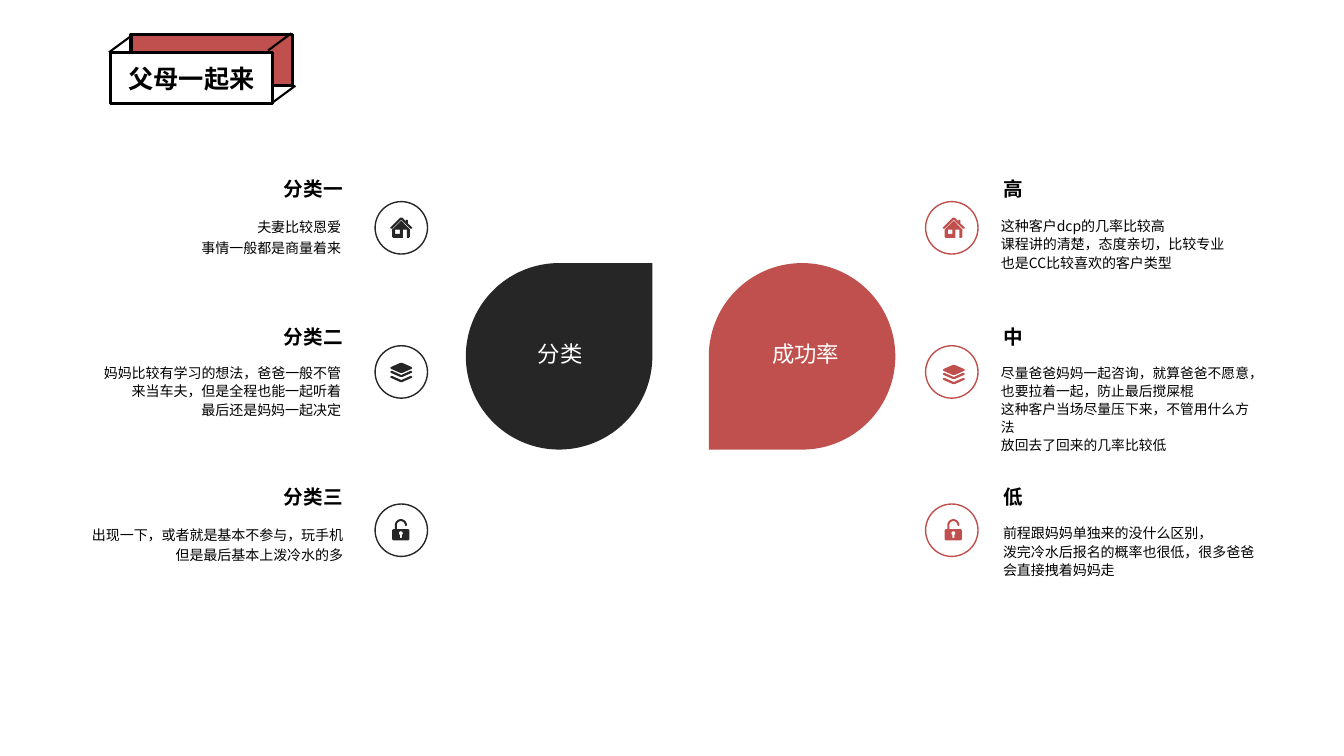
from math import cos, radians, sin

from lxml.etree import SubElement
from pptx import Presentation
from pptx.dml.color import RGBColor
from pptx.enum.shapes import MSO_CONNECTOR, MSO_SHAPE
from pptx.enum.text import MSO_ANCHOR, PP_ALIGN
from pptx.oxml.ns import qn
from pptx.util import Inches, Pt

COLORS = {"dark": "262626", "red": "C0504D", "black": "000000", "white": "FFFFFF"}
FONT = "Noto Sans CJK SC"


def rgb(color):
    return RGBColor.from_string(COLORS[color])


def arc(x, y, radius, start, end, steps=16):
    angles = [radians(start + (end - start) * i / steps) for i in range(steps + 1)]
    return [(x + radius * cos(a), y + radius * sin(a)) for a in angles]


def layer_band(y):
    return [(0, y), (1, y - 1), (2, y - 1), (11, y + 3), (20, y - 1), (21, y - 1),
            (22, y), (21, y + 1), (12, y + 5), (10, y + 5), (1, y + 1)]


HOUSE = [
    [(0, 10), (10, 0), (12, 0), (15.5, 3.5), (15.5, 2.5), (16.5, 2), (17.5, 2.5),
     (17.5, 5.7), (22, 10), (21.3, 11), (20, 11), (11, 2), (2, 11), (0.7, 11)],
    [(11, 3), (19.5, 11.8), (19.5, 19), (18.5, 20), (16.5, 20), (16.5, 12), (12.5, 12),
     (12.5, 20), (3, 20), (2, 19), (2, 11.8)],
    [(9.5, 12), (5, 12), (5, 16), (9.5, 16)],
]
LAYERS = [
    [(0, 5), (1, 4), (10, 0), (12, 0), (21, 4), (22, 5), (21, 6), (12, 10), (10, 10), (1, 6)],
    layer_band(9),
    layer_band(14),
]
LOCK = [
    [(0, 11), (1, 10), (2.6, 10), *arc(8.6, 6, 6, 180, 360), (13.6, 7),
     *arc(8.6, 6, 4, 360, 180), (4.6, 10), (16, 10), (17, 11), (17, 20), (16, 21),
     (1, 21), (0, 20)],
    [*arc(8.6, 14, 2, 120, 420), (9.6, 18.5), (8.6, 19), (7.6, 18.5)],
]


def write(frame, *lines, size=10, color="black", bold=False, align=PP_ALIGN.LEFT,
          spacing=None, anchor=MSO_ANCHOR.TOP, wrap=True):
    frame.word_wrap = wrap
    frame.vertical_anchor = anchor
    for number, line in enumerate(lines):
        paragraph = frame.add_paragraph() if number else frame.paragraphs[0]
        paragraph.alignment = align
        if spacing:
            paragraph.line_spacing = spacing
        run = paragraph.add_run()
        run.text = line
        run.font.size = Pt(size)
        run.font.bold = bold
        run.font.name = FONT
        run.font.color.rgb = rgb(color)
        SubElement(run.font._element, qn("a:ea")).set("typeface", FONT)


class Board:
    def __init__(self, slide):
        self.shapes = slide.shapes

    def paint(self, shape, fill=None, line=None, width=1):
        shape.shadow.inherit = False
        if fill:
            shape.fill.solid()
            shape.fill.fore_color.rgb = rgb(fill)
        else:
            shape.fill.background()
        if line:
            shape.line.color.rgb = rgb(line)
            shape.line.width = Pt(width)
        else:
            shape.line.fill.background()
        return shape

    def shape(self, kind, left, top, width, height, fill=None, line=None, line_width=1):
        box = map(Inches, (left, top, width, height))
        return self.paint(self.shapes.add_shape(kind, *box), fill, line, line_width)

    def text(self, left, top, width, height, *lines, **style):
        box = self.shapes.add_textbox(*map(Inches, (left, top, width, height)))
        write(box.text_frame, *lines, **style)

    def edge(self, x1, y1, x2, y2):
        edge = self.shapes.add_connector(MSO_CONNECTOR.STRAIGHT, *map(Inches, (x1, y1, x2, y2)))
        edge.line.color.rgb = rgb("black")
        edge.line.width = Pt(1.5)
        SubElement(edge._element.spPr, qn("a:effectLst"))

    def icon(self, outlines, left, top, color):
        scaled = [[(x * 10, y * 10) for x, y in outline] for outline in outlines]
        first, *others = scaled
        builder = self.shapes.build_freeform(*first[0], scale=Inches(1) / 1000)
        builder.add_line_segments(first[1:], close=True)
        for outline in others:
            builder.move_to(*outline[0])
            builder.add_line_segments(outline[1:], close=True)
        self.paint(builder.convert_to_shape(Inches(left), Inches(top)), fill=color)


def main():
    deck = Presentation()
    deck.slide_width, deck.slide_height = Inches(13.33), Inches(7.5)
    board = Board(deck.slides.add_slide(deck.slide_layouts[6]))

    success = board.shape(MSO_SHAPE.TEAR, 7.03, 2.61, 1.85, 1.85, fill="red")
    success.rotation = 180
    board.shape(MSO_SHAPE.TEAR, 4.62, 2.61, 1.85, 1.85, fill="dark")
    for left, width, label in ((7.45, 1.08, "成功率"), (4.99, 1.13, "分类")):
        board.text(left, 3.3, width, 0.42, label, size=16, color="white",
                   align=PP_ALIGN.CENTER, anchor=MSO_ANCHOR.MIDDLE, wrap=False)

    rows = (
        (1.71, 2, HOUSE, 0.15, (0.16, 0.16)),
        (3.17, 3.43, LAYERS, 0.15, (0.17, 0.19)),
        (4.76, 5, LOCK, 0.17, (0.15, 0.15)),
    )
    categories = (
        ("分类一", 0.72, 1.2, 10, ("夫妻比较恩爱", "事情一般都是商量着来")),
        ("分类二", 0.72, 1.1, 10, ("妈妈比较有学习的想法，爸爸一般不管",
                                "来当车夫，但是全程也能一起听着", "最后还是妈妈一起决定")),
        ("分类三", 0.74, 1.2, 10, ("出现一下，或者就是基本不参与，玩手机",
                                "但是最后基本上泼冷水的多")),
    )
    chances = (
        ("高", 9.83, 1.1, 10, ("这种客户dcp的几率比较高", "课程讲的清楚，态度亲切，比较专业",
                              "也是CC比较喜欢的客户类型")),
        ("中", 9.83, 1.1, 9.8, ("尽量爸爸妈妈一起咨询，就算爸爸不愿意，也要拉着一起，防止最后搅屎棍",
                               "这种客户当场尽量压下来，不管用什么方法", "放回去了回来的几率比较低")),
        ("低", 9.85, 1.1, 10, ("前程跟妈妈单独来的没什么区别，",
                              "泼完冷水后报名的概率也很低，很多爸爸会直接拽着妈妈走")),
    )
    sides = (
        (categories, 1.83, 3.72, 0, "dark", PP_ALIGN.RIGHT),
        (chances, 9.85, 9.18, 0.02, "red", PP_ALIGN.LEFT),
    )
    for side, (entries, title_left, ring_left, shift, color, align) in enumerate(sides):
        for row, entry in zip(rows, entries):
            title_top, ring_top, icon, icon_dx, icon_dy = row
            title, body_left, spacing, size, body = entry
            board.text(body_left, title_top + 0.38, 2.76, 0.65, *body,
                       size=size, align=align, spacing=spacing)
            board.text(title_left, title_top, 1.67, 0.49, title,
                       size=14, bold=True, align=align, wrap=False)
            board.shape(MSO_SHAPE.OVAL, ring_left, ring_top, 0.52, 0.52, line=color)
            board.icon(icon, ring_left + icon_dx + shift, ring_top + icon_dy[side], color)

    board.shape(MSO_SHAPE.RECTANGLE, 1.3, 0.34, 1.6, 0.51, "red", "black", 2.25)
    heading = board.shape(MSO_SHAPE.RECTANGLE, 1.1, 0.52, 1.6, 0.51, "white", "black", 2.25)
    write(heading.text_frame, "父母一起来", size=18, bold=True,
          align=PP_ALIGN.CENTER, anchor=MSO_ANCHOR.MIDDLE)
    for x, y in ((1.31, 0.35), (2.89, 0.33), (2.93, 0.85)):
        board.edge(x, y, x - 0.23, y + 0.17)

    deck.save("out.pptx")


if __name__ == "__main__":
    main()
